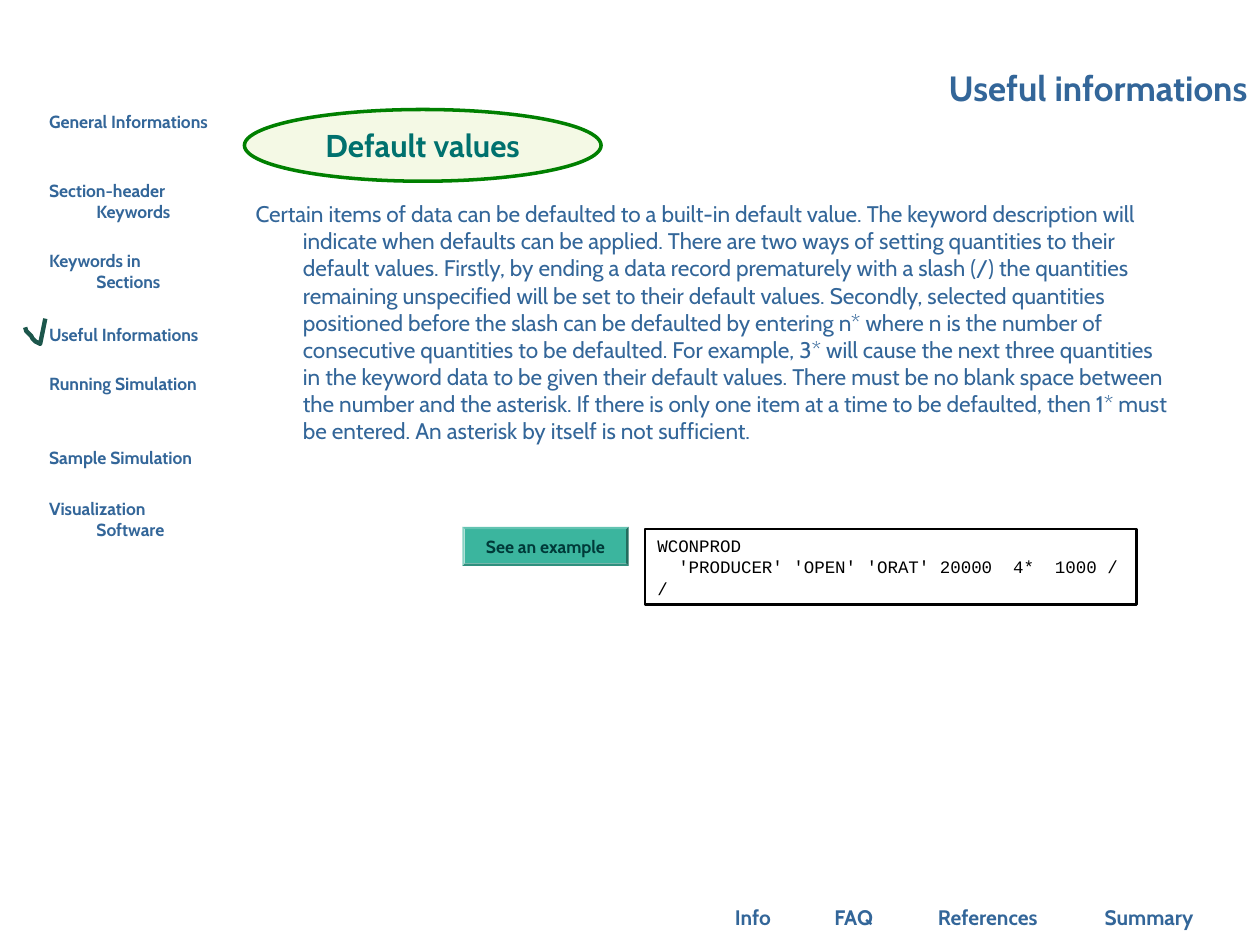
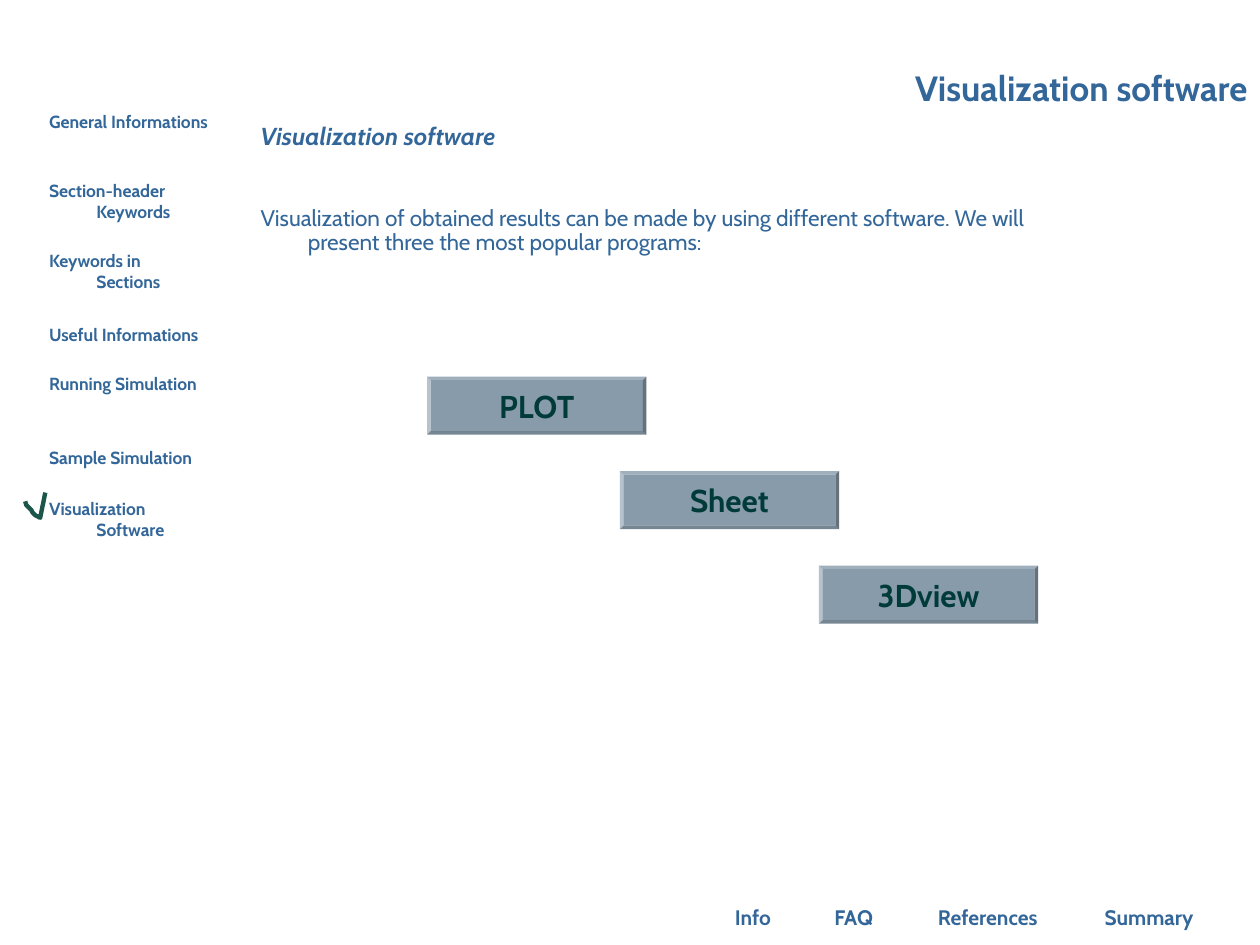
"""Build two slides of a simulation course with a side menu and a footer menu."""
from pptx import Presentation
from pptx.dml.color import RGBColor
from pptx.enum.shapes import MSO_SHAPE as SHAPE
from pptx.enum.text import MSO_ANCHOR as ANCHOR, PP_ALIGN as ALIGN
from pptx.oxml.xmlchemy import OxmlElement
from pptx.util import Pt

COLORS = {
    "blue": "336699", "teal": "00716E", "dark": "003A39", "black": "000000",
    "white": "FFFFFF", "lime": "99CC00", "green": "008000", "check": "1C564B",
    "mint": "3BB59E", "slate": "698397",
}
FONT, CODE_FONT = "Cabin", "Courier New"
HANGING = 27
MENU = [
    ("General Informations", 63.4, 93.6),
    ("Section-header Keywords", 103, 87.1),
    ("Keywords in Sections", 142.6, 90),
    ("Useful Informations", 185, 105.1),
    ("Running Simulation", 213.1, 96.5),
    ("Sample Simulation", 255.6, 96.5),
    ("Visualization Software", 284.4, 87.8),
]
FOOTER = [("Info", 405.4, 49.7), ("FAQ", 466.6, 42.5),
          ("References", 523.4, 82.1), ("Summary", 619.9, 73.4)]
CHECK = [(25.9, 0), (23, 14.4), (21.6, 13.7), (20.2, 13), (18.7, 11.5),
         (18, 10.1), (16.6, 8.6), (15.1, 7.2), (14.4, 5)]
DEFAULTS = (
    "Certain items of data can be defaulted to a built-in default value. "
    "The keyword description will indicate when defaults can be applied. "
    "There are two ways of setting quantities to their default values. "
    "Firstly, by ending a data record prematurely with a slash (/) the "
    "quantities remaining unspecified will be set to their default values. "
    "Secondly, selected quantities positioned before the slash can be "
    "defaulted by entering n* where n is the number of consecutive quantities "
    "to be defaulted. For example, 3* will cause the next three quantities in "
    "the keyword data to be given their default values. There must be no blank "
    "space between the number and the asterisk. If there is only one item at a "
    "time to be defaulted, then 1* must be entered. An asterisk by itself is "
    "not sufficient."
)
PROGRAMS_INTRO = (
    "Visualization of obtained results can be made by using different "
    "software. We will present three the most popular programs:"
)
CODE = """WCONPROD
  'PRODUCER' 'OPEN' 'ORAT' 20000  4*  1000 /
/"""


def rgb(name):
    return RGBColor.from_string(COLORS[name])


class Deck:
    def __init__(self):
        self.prs = Presentation()
        self.prs.slide_width, self.prs.slide_height = Pt(720), Pt(540)
        self.s = None

    def slide(self, title, current):
        self.s = self.prs.slides.add_slide(self.prs.slide_layouts[6])
        for label, left, width in FOOTER:
            self.text(label, left, 513.4, width, 21.6, 12, bold=True,
                      align=ALIGN.CENTER, anchor=ANCHOR.BOTTOM)
        for label, top, width in MENU:
            self.text(label, 28.1, top, width, 25.2, 10, bold=True,
                      hanging=True, inset=False)
            if label == current:
                self.check(top - 2.9)
        self.text(title, 138.2, 25.9, 581.8, 39.6, 20, bold=True,
                  align=ALIGN.RIGHT, anchor=ANCHOR.BOTTOM)

    def fill_text(self, tf, text, size, color="blue", bold=False, italic=False,
                  font=FONT, align=ALIGN.LEFT, anchor=ANCHOR.TOP,
                  hanging=False, spacing=None, inset=True):
        tf.word_wrap = True
        tf.vertical_anchor = anchor
        tf.margin_left = tf.margin_right = Pt(7.2 if inset else 0)
        tf.margin_top = tf.margin_bottom = Pt(3.6 if inset else 0)
        tf.text = text
        for p in tf.paragraphs:
            p.alignment = align
            if spacing:
                p.line_spacing = spacing
            if hanging:
                pPr = p._p.get_or_add_pPr()
                pPr.set("marL", str(Pt(HANGING)))
                pPr.set("indent", str(-Pt(HANGING)))
            f = p.font
            f.name, f.size, f.bold, f.italic = font, Pt(size), bold, italic
            f.color.rgb = rgb(color)

    def text(self, text, left, top, width, height, size, **style):
        box = self.s.shapes.add_textbox(Pt(left), Pt(top), Pt(width), Pt(height))
        self.fill_text(box.text_frame, text, size, **style)

    def shape(self, kind, left, top, width, height, fill, line=None,
              line_width=1, opacity=100):
        sp = self.s.shapes.add_shape(kind, Pt(left), Pt(top), Pt(width), Pt(height))
        sp.shadow.inherit = False
        sp.fill.solid()
        sp.fill.fore_color.rgb = rgb(fill)
        if opacity < 100:
            alpha = OxmlElement("a:alpha")
            alpha.set("val", str(opacity * 1000))
            sp.fill._xPr.solidFill.srgbClr.append(alpha)
        if line:
            sp.line.color.rgb = rgb(line)
            sp.line.width = Pt(line_width)
        else:
            sp.line.fill.background()
        return sp

    def button(self, label, left, top, width, height, fill, size, opacity=100):
        sp = self.shape(SHAPE.BEVEL, left, top, width, height, fill,
                        opacity=opacity)
        sp.adjustments[0] = 0.06
        self.fill_text(sp.text_frame, label, size, color="dark", bold=True,
                       align=ALIGN.CENTER, anchor=ANCHOR.MIDDLE)

    def heading(self, label, left, top, width, height):
        sp = self.shape(SHAPE.OVAL, left, top, width, height, "lime",
                        line="green", line_width=2, opacity=10)
        self.fill_text(sp.text_frame, label, 18, color="teal", bold=True,
                       align=ALIGN.CENTER, anchor=ANCHOR.MIDDLE)

    def code(self, text, left, top, width, height):
        sp = self.shape(SHAPE.RECTANGLE, left, top, width, height, "white",
                        line="black", line_width=1.5)
        self.fill_text(sp.text_frame, text, 10, color="black", font=CODE_FONT,
                       anchor=ANCHOR.BOTTOM)

    def check(self, top):
        start, *rest = [(Pt(x), Pt(top + y)) for x, y in CHECK]
        fb = self.s.shapes.build_freeform(*start)
        fb.add_line_segments(rest, close=False)
        sp = fb.convert_to_shape()
        sp.shadow.inherit = False
        sp.fill.background()
        sp.line.color.rgb = rgb("check")
        sp.line.width = Pt(2.5)


def main():
    deck = Deck()

    deck.slide("Useful informations", "Useful Informations")
    deck.text(DEFAULTS, 139, 110.9, 535.7, 175.7, 12.9, hanging=True)
    deck.heading("Default values", 139.7, 62.6, 203.8, 41)
    deck.button("See an example", 264.2, 301, 95, 22.3, "mint", 10)
    deck.code(CODE, 368.6, 302.4, 280.8, 43.2)

    deck.slide("Visualization software", "Visualization Software")
    deck.text("Visualization software", 141.8, 65.5, 459.4, 28.1, 14,
              bold=True, italic=True, hanging=True)
    deck.text(PROGRAMS_INTRO, 141.8, 114.5, 478.8, 39.6, 12.9,
              hanging=True, spacing=0.9)
    programs = [("PLOT", 244.1), ("Sheet", 354.2), ("3Dview", 468)]
    for i, (program, left) in enumerate(programs):
        deck.button(program, left, 215.3 + 54 * i, 125.3, 33.1, "slate", 18,
                    opacity=80)

    deck.prs.save("out.pptx")


if __name__ == "__main__":
    main()
